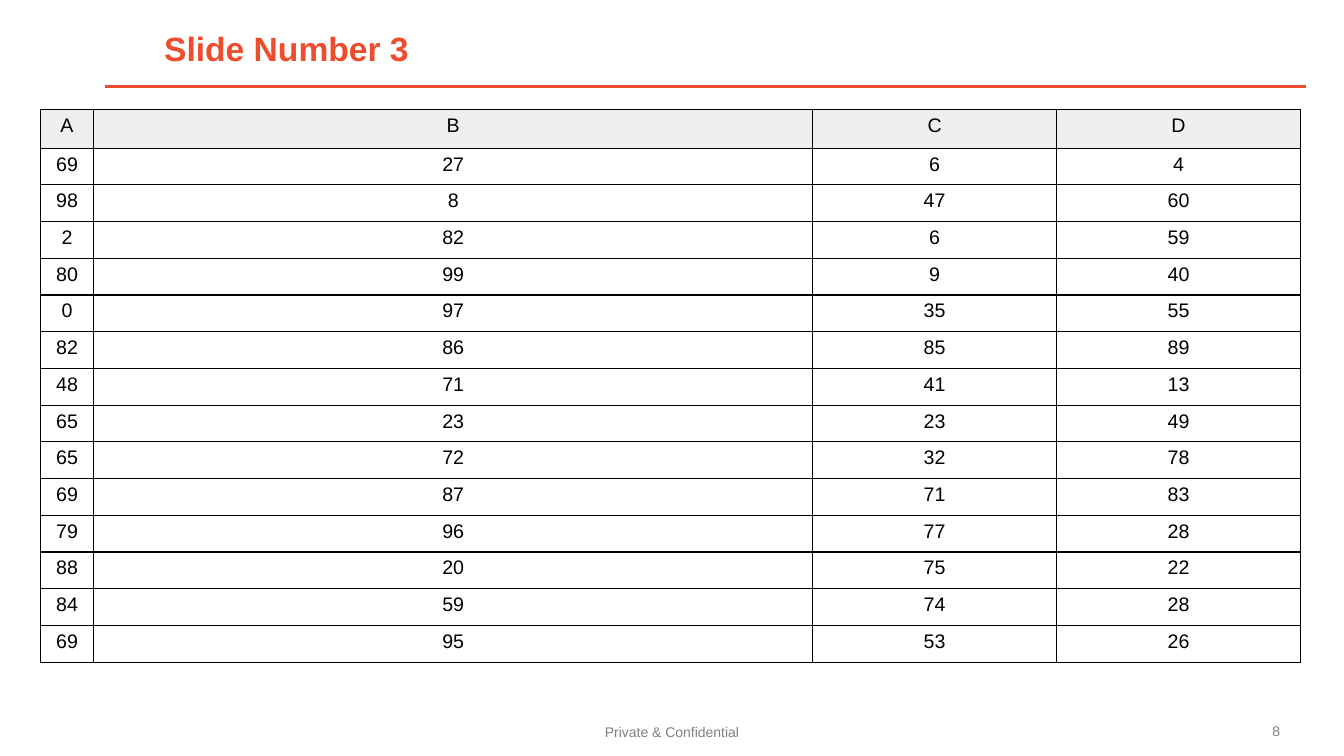
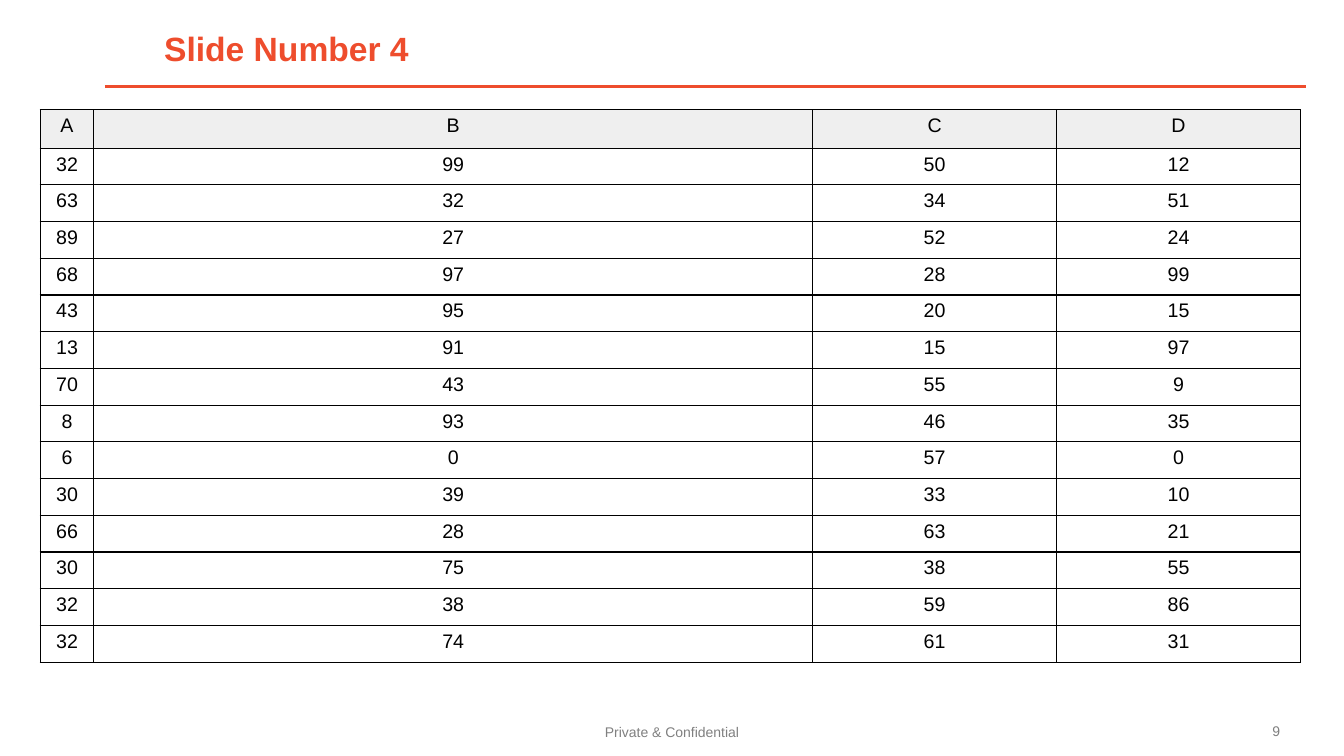
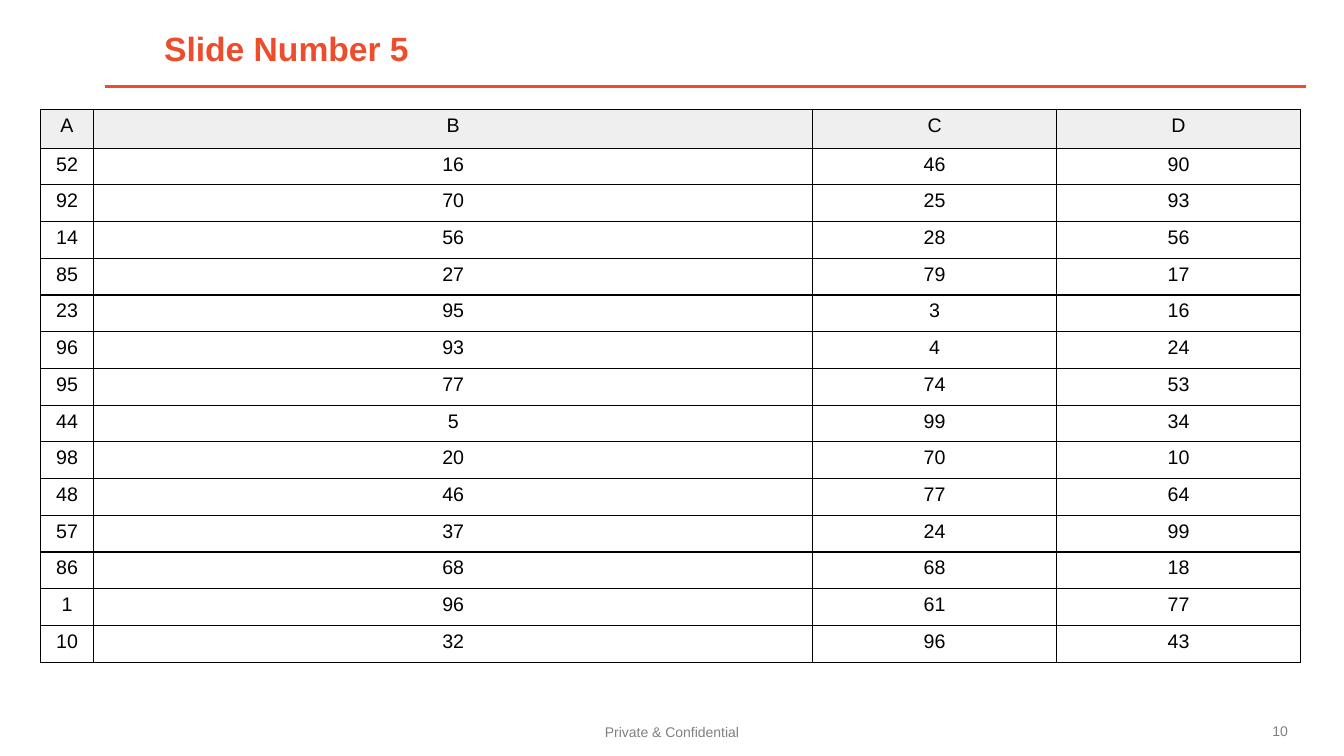
from dataclasses import dataclass

from pptx import Presentation
from pptx.dml.color import RGBColor
from pptx.enum.shapes import MSO_CONNECTOR as Connector
from pptx.enum.text import MSO_ANCHOR as Anchor, PP_ALIGN as Align
from pptx.oxml.ns import qn
from pptx.util import Inches, Pt
from lxml.etree import SubElement


@dataclass(frozen=True)
class Theme:
    font: str = "Arial"
    accent: str = "EE4D2D"
    ink: str = "000000"
    paper: str = "FFFFFF"
    header_fill: str = "EFEFEF"
    footer_ink: str = "808080"
    page_ink: str = "7F7F7F"
    title_size: int = 24
    table_size: int = 14
    footer_size: int = 10
    rule_width: int = 2
    border_width: int = 1


# Table content
HEADINGS = ("A", "B", "C", "D")
COLUMN_WIDTHS = (0.53, 7.13, 2.42, 2.42)
TABLE_HEIGHT, HEADER_HEIGHT = 5.48, 0.38

SLIDES = (
    ("Slide Number 3", "8", (
        (69, 27, 6, 4), (98, 8, 47, 60), (2, 82, 6, 59), (80, 99, 9, 40),
        (0, 97, 35, 55), (82, 86, 85, 89), (48, 71, 41, 13),
        (65, 23, 23, 49), (65, 72, 32, 78), (69, 87, 71, 83),
        (79, 96, 77, 28), (88, 20, 75, 22), (84, 59, 74, 28),
        (69, 95, 53, 26))),
    ("Slide Number 4", "9", (
        (32, 99, 50, 12), (63, 32, 34, 51), (89, 27, 52, 24),
        (68, 97, 28, 99), (43, 95, 20, 15), (13, 91, 15, 97),
        (70, 43, 55, 9), (8, 93, 46, 35), (6, 0, 57, 0),
        (30, 39, 33, 10), (66, 28, 63, 21), (30, 75, 38, 55),
        (32, 38, 59, 86), (32, 74, 61, 31))),
    ("Slide Number 5", "10", (
        (52, 16, 46, 90), (92, 70, 25, 93), (14, 56, 28, 56),
        (85, 27, 79, 17), (23, 95, 3, 16), (96, 93, 4, 24),
        (95, 77, 74, 53), (44, 5, 99, 34), (98, 20, 70, 10),
        (48, 46, 77, 64), (57, 37, 24, 99), (86, 68, 68, 18),
        (1, 96, 61, 77), (10, 32, 96, 43))),
)


class Deck:
    def __init__(self, theme):
        self.theme = theme
        self.presentation = Presentation()
        self.presentation.slide_width = Inches(13.33)
        self.presentation.slide_height = Inches(7.5)
        self.slide = None

    def set_text(self, frame, text, size, color, bold=False, align=Align.LEFT):
        frame.text = text
        paragraph = frame.paragraphs[0]
        paragraph.alignment = align
        font = paragraph.runs[0].font
        font.name, font.size, font.bold = self.theme.font, Pt(size), bold
        font.color.rgb = RGBColor.from_string(color)

    def text(self, text, left, top, width, height, size, color,
             inset=None, **style):
        frame = self.slide.shapes.add_textbox(
            Inches(left), Inches(top), Inches(width), Inches(height)).text_frame
        frame.word_wrap = True
        if inset is not None:
            frame.vertical_anchor = Anchor.MIDDLE
            frame.margin_left = frame.margin_right = Inches(inset)
            frame.margin_top = frame.margin_bottom = Inches(inset)
        self.set_text(frame, text, size, color, **style)

    def rule(self, left, right, y):
        line = self.slide.shapes.add_connector(
            Connector.STRAIGHT, Inches(left), Inches(y), Inches(right), Inches(y))
        line.line.color.rgb = RGBColor.from_string(self.theme.accent)
        line.line.width = Pt(self.theme.rule_width)
        SubElement(line._element.spPr, qn("a:effectLst"))

    # Title, rule and footer shared by every slide
    def add_slide(self, title, page):
        theme = self.theme
        self.slide = self.presentation.slides.add_slide(
            self.presentation.slide_layouts[6])
        background = self.slide.background.fill
        background.solid()
        background.fore_color.rgb = RGBColor.from_string(theme.paper)
        self.rule(1.04, 12.95, 0.86)
        self.text("Private & Confidential", 3.01, 7.02, 7.31, 0.48,
                  theme.footer_size, theme.footer_ink, inset=0.1,
                  align=Align.CENTER)
        self.text(page, 12.51, 7.05, 0.42, 0.41,
                  theme.footer_size, theme.page_ink, inset=0.11)
        self.text(title, 1.53, 0.23, 11.14, 0.51,
                  theme.title_size, theme.accent, bold=True)

    def border(self, cell):
        properties = cell._tc.get_or_add_tcPr()
        for side in ("a:lnL", "a:lnR", "a:lnT", "a:lnB"):
            edge = SubElement(properties, qn(side),
                              w=str(Pt(self.theme.border_width)))
            fill = SubElement(edge, qn("a:solidFill"))
            SubElement(fill, qn("a:srgbClr"), val=self.theme.ink)

    def table(self, left, top, headings, rows):
        theme = self.theme
        grid = self.slide.shapes.add_table(
            len(rows) + 1, len(headings), Inches(left), Inches(top),
            Inches(sum(COLUMN_WIDTHS)), Inches(TABLE_HEIGHT)).table
        grid.first_row = grid.horz_banding = False
        for column, width in zip(grid.columns, COLUMN_WIDTHS):
            column.width = Inches(width)
        row_height = (TABLE_HEIGHT - HEADER_HEIGHT) / len(rows)
        for r, values in enumerate((headings, *rows)):
            grid.rows[r].height = Inches(row_height if r else HEADER_HEIGHT)
            for c, value in enumerate(values):
                cell = grid.cell(r, c)
                self.border(cell)
                cell.fill.solid()
                cell.fill.fore_color.rgb = RGBColor.from_string(
                    theme.paper if r else theme.header_fill)
                self.set_text(cell.text_frame, str(value), theme.table_size,
                              theme.ink, align=Align.CENTER)


def main():
    deck = Deck(Theme())
    for title, page, rows in SLIDES:
        deck.add_slide(title, page)
        deck.table(0.4, 1.09, HEADINGS, rows)
    deck.presentation.save("out.pptx")


if __name__ == "__main__":
    main()
